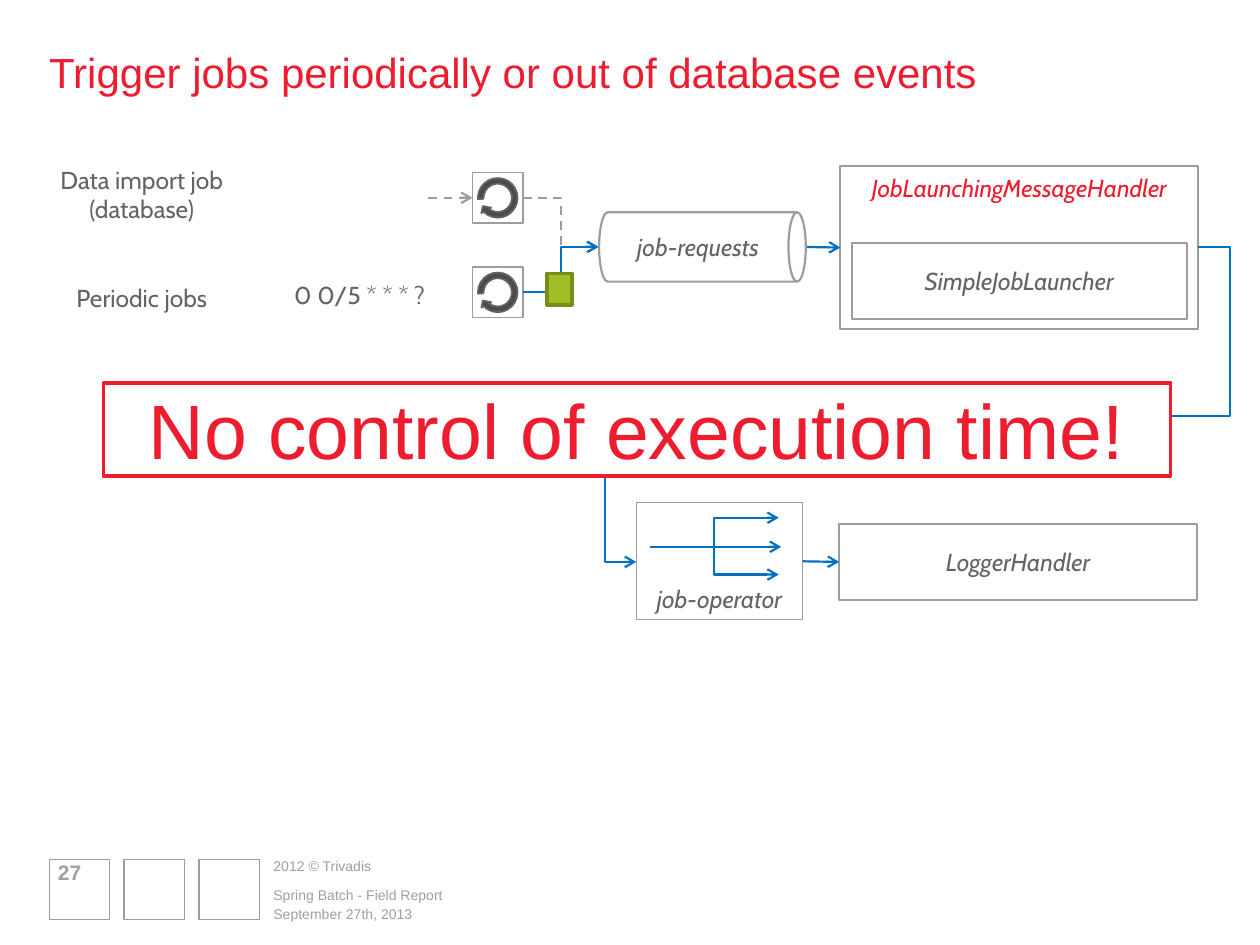
from lxml.etree import SubElement
from pptx import Presentation
from pptx.dml.color import RGBColor
from pptx.enum.dml import MSO_LINE
from pptx.enum.shapes import MSO_CONNECTOR, MSO_SHAPE
from pptx.enum.text import MSO_ANCHOR, MSO_AUTO_SIZE, PP_ALIGN
from pptx.oxml.ns import qn
from pptx.util import Inches, Pt

COLORS = {"red": "ED1C2E", "gray": "9D9D9D", "text": "636466", "foot": "9F9FA0",
          "blue": "0070C0", "dark": "4A4B4D", "lime": "A1BE24", "moss": "778D1B",
          "white": "FFFFFF"}


def color(name):
    """Return the named colour."""
    return RGBColor.from_string(COLORS[name])


def write(shape, text, size=14, font="Cabin", ink="text", bold=False, italic=False,
          align=PP_ALIGN.CENTER, anchor=MSO_ANCHOR.TOP, inset=None, grow=False):
    """Put formatted text in a shape."""
    frame = shape.text_frame
    frame.word_wrap = True
    frame.auto_size = MSO_AUTO_SIZE.SHAPE_TO_FIT_TEXT if grow else MSO_AUTO_SIZE.NONE
    frame.vertical_anchor = anchor
    if inset is not None:
        frame.margin_left = frame.margin_right = Inches(inset)
        frame.margin_top = frame.margin_bottom = Inches(inset)
    para = frame.paragraphs[0]
    para.text = text
    para.alignment = align
    for run in para.runs:
        run.font.size = Pt(size)
        run.font.name = font
        run.font.bold = bold
        run.font.italic = italic
        run.font.color.rgb = color(ink)


def label(slide, box, text, **style):
    """Add a text box without insets."""
    shape = slide.shapes.add_textbox(*map(Inches, box))
    write(shape, text, inset=0, **style)


def block(slide, box, kind=MSO_SHAPE.RECTANGLE, fill="white", line="gray", width=1.25):
    """Add a filled and outlined shape."""
    shape = slide.shapes.add_shape(kind, *map(Inches, box))
    shape.shadow.inherit = False
    if fill:
        shape.fill.solid()
        shape.fill.fore_color.rgb = color(fill)
    else:
        shape.fill.background()
    shape.line.color.rgb = color(line)
    shape.line.width = Pt(width)
    return shape


def link(slide, start, end, ink="blue", kind=MSO_CONNECTOR.STRAIGHT, dash=False,
         source=None, target=None):
    """Draw an arrow, joined to the right of source and the left of target."""
    arrow = slide.shapes.add_connector(kind, *map(Inches, (*start, *end)))
    if source:
        arrow.begin_connect(source, 3)
    if target:
        arrow.end_connect(target, 1)
    arrow.line.color.rgb = color(ink)
    arrow.line.width = Pt(1.25)
    if dash:
        arrow.line.dash_style = MSO_LINE.DASH
    props = arrow.element.spPr
    SubElement(props.find(qn("a:ln")), qn("a:tailEnd"), type="arrow")
    SubElement(props, qn("a:effectLst"))
    return arrow


def detour(arrow, bends):
    """Turn an elbow into one with five segments."""
    shape = arrow.element.spPr.find(qn("a:prstGeom"))
    shape.set("prst", "bentConnector5")
    guides = shape.find(qn("a:avLst"))
    for i, bend in enumerate(bends, 1):
        SubElement(guides, qn("a:gd"), name=f"adj{i}", fmla=f"val {round(bend * 100000)}")


def head(slide, x, y, w, h):
    """Place the slide title."""
    title = slide.shapes.title
    title.left, title.top, title.width, title.height = map(Inches, (x, y, w, h))
    write(title, "Trigger jobs periodically or out of database events", size=24,
          font="Arial", ink="red", align=PP_ALIGN.LEFT, inset=0, grow=True)


def footer(slide, x, y):
    """Place the three squares, page number and credits."""
    for i in range(3):
        block(slide, (x + i * 0.595, y, 0.48, 0.48), fill=None, width=0.75)
    style = {"font": "Arial", "ink": "foot", "align": PP_ALIGN.LEFT}
    label(slide, (x + 0.07, y + 0.02, 0.48, 0.17), "27", size=12, bold=True,
          anchor=MSO_ANCHOR.MIDDLE, **style)
    label(slide, (x + 1.78, y - 0.02, 1.35, 0.15), "2012 © Trivadis", size=8,
          anchor=MSO_ANCHOR.MIDDLE, **style)
    for i, text in enumerate(("Spring Batch - Field Report", "September 27th, 2013")):
        label(slide, (x + 1.78, y + 0.17 + i * 0.15, 5.36, 0.18), text, size=8,
              anchor=MSO_ANCHOR.BOTTOM, **style)


def timer(slide, x, y):
    """Draw a boxed circular arrow and return the box."""
    frame = block(slide, (x, y, 0.4, 0.4), width=1)
    loop = block(slide, (x + 0.02, y + 0.02, 0.36, 0.36), MSO_SHAPE.CIRCULAR_ARROW,
                 fill="dark", line="text", width=1)
    loop.rotation = 151.1
    for i, value in enumerate((0.125, 11.423, 204.577, 15.073, 0.125)):
        loop.adjustments[i] = value
    return frame


def triggers(slide, x, y):
    """Place the two job sources and their arrows to the queue."""
    label(slide, (x, y, 1.99, 0.47), "Data import job\v(database)", grow=True)
    label(slide, (x, y + 0.94, 1.99, 0.24), "Periodic jobs", grow=True)
    label(slide, (x + 2.09, y + 0.91, 1.27, 0.24), "0 0/5 * * * ?", grow=True)
    upper = timer(slide, x + 3.62, y + 0.06)
    timer(slide, x + 3.62, y + 0.81)
    link(slide, (x + 3.27, y + 0.26), (x + 3.62, y + 0.26), "gray", dash=True, target=upper)
    queue = (x + 4.62, y + 0.65)
    link(slide, (x + 4.02, y + 0.26), queue, "gray", MSO_CONNECTOR.ELBOW, dash=True)
    link(slide, (x + 4.02, y + 1.01), queue, kind=MSO_CONNECTOR.ELBOW)
    block(slide, (x + 4.21, y + 0.86, 0.2, 0.25), fill="lime", line="moss", width=2)


def router(slide, x, y):
    """Draw the job-operator box with its three-way split and return it."""
    box = block(slide, (x, y, 1.32, 0.93), width=0.75)
    write(box, "job-operator", italic=True, anchor=MSO_ANCHOR.BOTTOM)
    start = (x + 0.11, y + 0.35)
    link(slide, start, (x + 1.15, y + 0.35))
    for rise in (-0.23, 0.22):
        link(slide, start, (x + 1.13, y + 0.35 + rise), kind=MSO_CONNECTOR.ELBOW)
    return box


def flow(slide, x, y):
    """Place the queue, the handlers and the arrows between them."""
    handler = block(slide, (x + 1.92, y, 2.84, 1.29))
    write(handler, "JobLaunchingMessageHandler", ink="red", italic=True)
    back = link(slide, (x + 4.76, y + 0.64), (x + 0.3, y + 3.14), kind=MSO_CONNECTOR.ELBOW)
    detour(back, (-0.056, 0.536, 1.056))
    logger = block(slide, (x + 1.91, y + 2.84, 2.84, 0.6))
    write(logger, "LoggerHandler", italic=True, anchor=MSO_ANCHOR.MIDDLE)
    split = router(slide, x + 0.3, y + 2.67)
    link(slide, (x + 1.62, y + 3.14), (x + 1.91, y + 3.14), source=split, target=logger)
    link(slide, (x + 1.64, y + 0.64), (x + 1.92, y + 0.64), target=handler)
    inner = block(slide, (x + 2.01, y + 0.61, 2.66, 0.6))
    write(inner, "SimpleJobLauncher", italic=True, anchor=MSO_ANCHOR.MIDDLE)
    queue = block(slide, (x + 0.55, y - 0.18, 0.55, 1.64), MSO_SHAPE.CAN)
    queue.rotation = 90
    write(queue, "job-requests", italic=True, anchor=MSO_ANCHOR.MIDDLE)
    queue.element.txBody.bodyPr.set("vert", "vert270")


def banner(slide, x, y, w, h):
    """Place the large warning."""
    box = block(slide, (x, y, w, h), line="red", width=2)
    write(box, "No control of execution time!", size=44, font="Arial", ink="red",
          inset=0, grow=True)


def main():
    """Build and save the slide."""
    deck = Presentation()
    deck.slide_width, deck.slide_height = Inches(10), Inches(7.5)
    slide = deck.slides.add_slide(deck.slide_layouts[5])
    head(slide, 0.39, 0.37, 9.22, 0.4)
    footer(slide, 0.39, 6.82)
    triggers(slide, 0.13, 1.31)
    flow(slide, 4.75, 1.32)
    banner(slide, 0.82, 3.04, 8.47, 0.74)
    deck.save("out.pptx")


if __name__ == "__main__":
    main()
